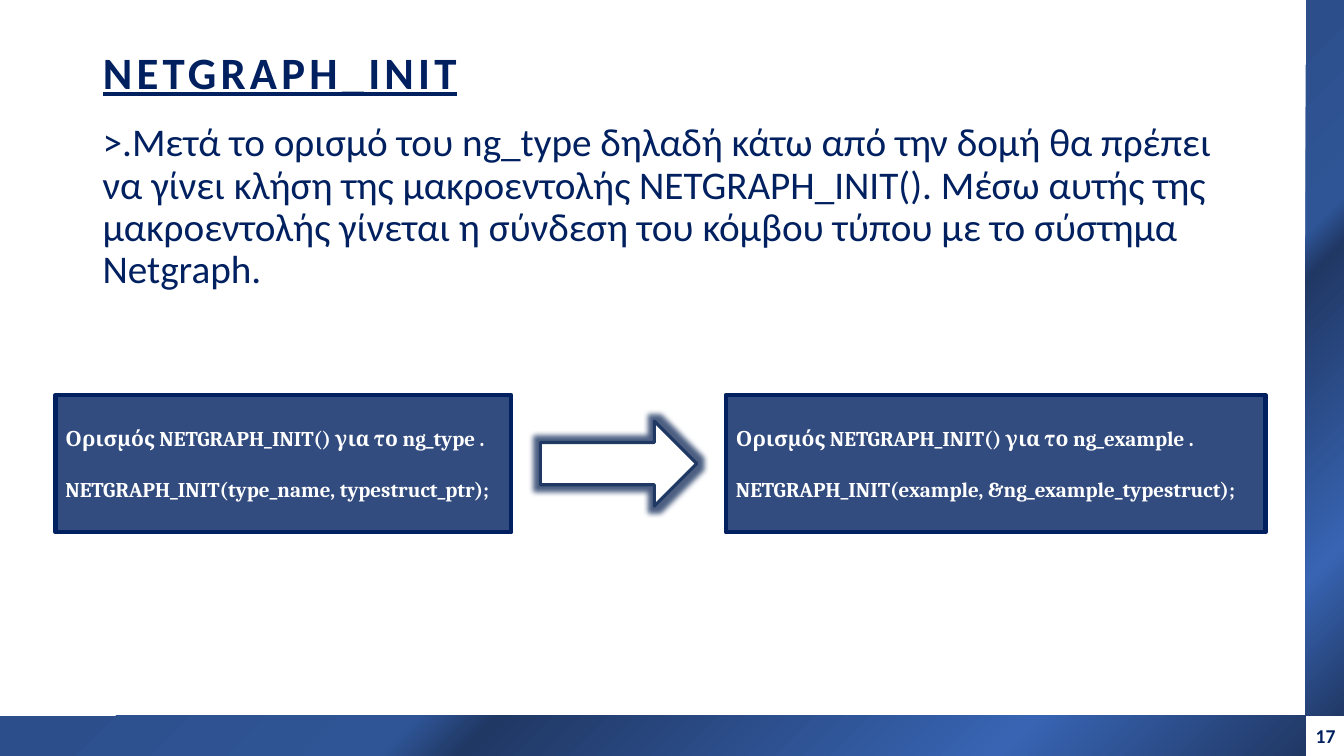
from lxml import etree
from pptx import Presentation
from pptx.dml.color import RGBColor
from pptx.enum.shapes import MSO_SHAPE
from pptx.enum.text import MSO_ANCHOR, MSO_AUTO_SIZE, PP_ALIGN
from pptx.oxml import parse_xml
from pptx.oxml.ns import qn
from pptx.util import Inches, Pt

RECTANGLE, RIGHT_ARROW = MSO_SHAPE.RECTANGLE, MSO_SHAPE.RIGHT_ARROW
MIDDLE, LEFT = MSO_ANCHOR.MIDDLE, PP_ALIGN.LEFT
NO_AUTO_SIZE = MSO_AUTO_SIZE.NONE
NAMESPACE = 'xmlns:a="http://schemas.openxmlformats.org/drawingml/2006/main"'
NAVY, DARK_BLUE, WHITE = "002060", "203864", "FFFFFF"
WIDTH, HEIGHT = 13.33, 7.5
BAR = 0.4
BAR_LENGTH = WIDTH - BAR + 0.02
MARGIN, TEXT_WIDTH = 0.92, 11.5


def color(value):
    return RGBColor.from_string(value)


def set_font(paragraph, name, size, value, bold=False):
    paragraph.alignment = LEFT
    paragraph.font.name = name
    paragraph.font.size = Pt(size)
    paragraph.font.bold = bold
    paragraph.font.color.rgb = color(value)


presentation = Presentation()
presentation.slide_width = Inches(WIDTH)
presentation.slide_height = Inches(HEIGHT)
slide = presentation.slides.add_slide(presentation.slide_layouts[5])

# Title
title = slide.shapes.title
title.left, title.top = Inches(MARGIN), Inches(0.46)
title.width, title.height = Inches(TEXT_WIDTH), Inches(0.23)
title.text_frame.text = "NETGRAPH_INIT"
title.text_frame.auto_size = NO_AUTO_SIZE
title.text_frame.vertical_anchor = MIDDLE
paragraph = title.text_frame.paragraphs[0]
set_font(paragraph, "Calibri", 32, NAVY, bold=True)
paragraph.line_spacing = 1.5
paragraph.runs[0].font.underline = True
paragraph.runs[0].font._element.set("spc", "300")

# Body text and page number
texts = [
    (MARGIN, 1.17, TEXT_WIDTH, 5.45, 28, False,
     ">.Mετά το ορισμό του ng_type δηλαδή κάτω από την δομή θα πρέπει "
     "να γίνει κλήση της μακροεντολής NETGRAPH_INIT(). Μέσω αυτής της "
     "μακροεντολής γίνεται η σύνδεση του κόμβου τύπου με το σύστημα Netgraph."),
    (BAR_LENGTH, 7.13, 0.53, 0.34, 14, True, "17"),
]
for left, top, width, height, size, bold, text in texts:
    box = slide.shapes.add_textbox(Inches(left), Inches(top), Inches(width), Inches(height))
    box.text_frame.word_wrap = True
    box.text_frame.text = text
    paragraph = box.text_frame.paragraphs[0]
    set_font(paragraph, "Calibri", size, NAVY, bold)
    paragraph.line_spacing = 1 if bold else 0.9

# Gradient bars along the bottom and the right edge
stops = [(0, DARK_BLUE), (23, "3864B3"), (63, DARK_BLUE), (69, "2F5597"), (97, "2C4F8C")]
stop_xml = "".join(
    f'<a:gs pos="{position * 1000}"><a:srgbClr val="{value}"/></a:gs>'
    for position, value in stops)
bars = [
    ((BAR_LENGTH - BAR) / 2, HEIGHT - BAR / 2 - BAR_LENGTH / 2, BAR_LENGTH, 90),
    (BAR_LENGTH, 0, HEIGHT - BAR, 0),
]
for left, top, length, rotation in bars:
    bar = slide.shapes.add_shape(
        RECTANGLE, Inches(left), Inches(top), Inches(BAR), Inches(length))
    bar.rotation = rotation
    bar.shadow.inherit = False
    bar.line.fill.background()
    bar.fill.solid()
    solid = bar._element.spPr.find(qn("a:solidFill"))
    bar._element.spPr.replace(solid, parse_xml(
        f'<a:gradFill {NAMESPACE} rotWithShape="1"><a:gsLst>{stop_xml}</a:gsLst>'
        '<a:path path="circle"><a:fillToRect l="100000" t="100000"/></a:path>'
        '</a:gradFill>'))

# Code boxes: general form and example
code_boxes = [
    (0.55, 4.52, "Ορισμός NETGRAPH_INIT() για το ng_type .",
     "NETGRAPH_INIT(type_name, typestruct_ptr);"),
    (7.2, 5.35, "Ορισμός NETGRAPH_INIT() για το ng_example .",
     "NETGRAPH_INIT(example, &ng_example_typestruct);"),
]
for left, width, heading, code in code_boxes:
    box = slide.shapes.add_shape(
        RECTANGLE, Inches(left), Inches(3.92), Inches(width), Inches(1.36))
    box.shadow.inherit = False
    box.fill.solid()
    box.fill.fore_color.rgb = color(NAVY)
    fill_color = box._element.spPr.find(qn("a:solidFill"))[0]
    etree.SubElement(fill_color, qn("a:alpha"), val="80000")
    box.line.color.rgb = color(NAVY)
    box.line.width = Pt(3.25)
    box.text_frame.word_wrap = True
    box.text_frame.vertical_anchor = MIDDLE
    box.text_frame.text = f"{heading}\n{code}"
    for paragraph in box.text_frame.paragraphs:
        set_font(paragraph, "Cambria", 15, WHITE, bold=True)
    box.text_frame.paragraphs[1].space_before = Pt(18)

# Arrow with a soft glow
arrow = slide.shapes.add_shape(
    RIGHT_ARROW, Inches(5.36), Inches(4.18), Inches(1.55), Inches(0.84))
arrow.shadow.inherit = False
arrow.fill.solid()
arrow.fill.fore_color.rgb = color(WHITE)
arrow.line.color.rgb = color(DARK_BLUE)
arrow.line.width = Pt(2.25)
arrow._element.spPr.find(qn("a:effectLst")).append(parse_xml(
    f'<a:glow {NAMESPACE} rad="101600"><a:srgbClr val="{DARK_BLUE}">'
    '<a:alpha val="80000"/></a:srgbClr></a:glow>'))

presentation.save("out.pptx")
